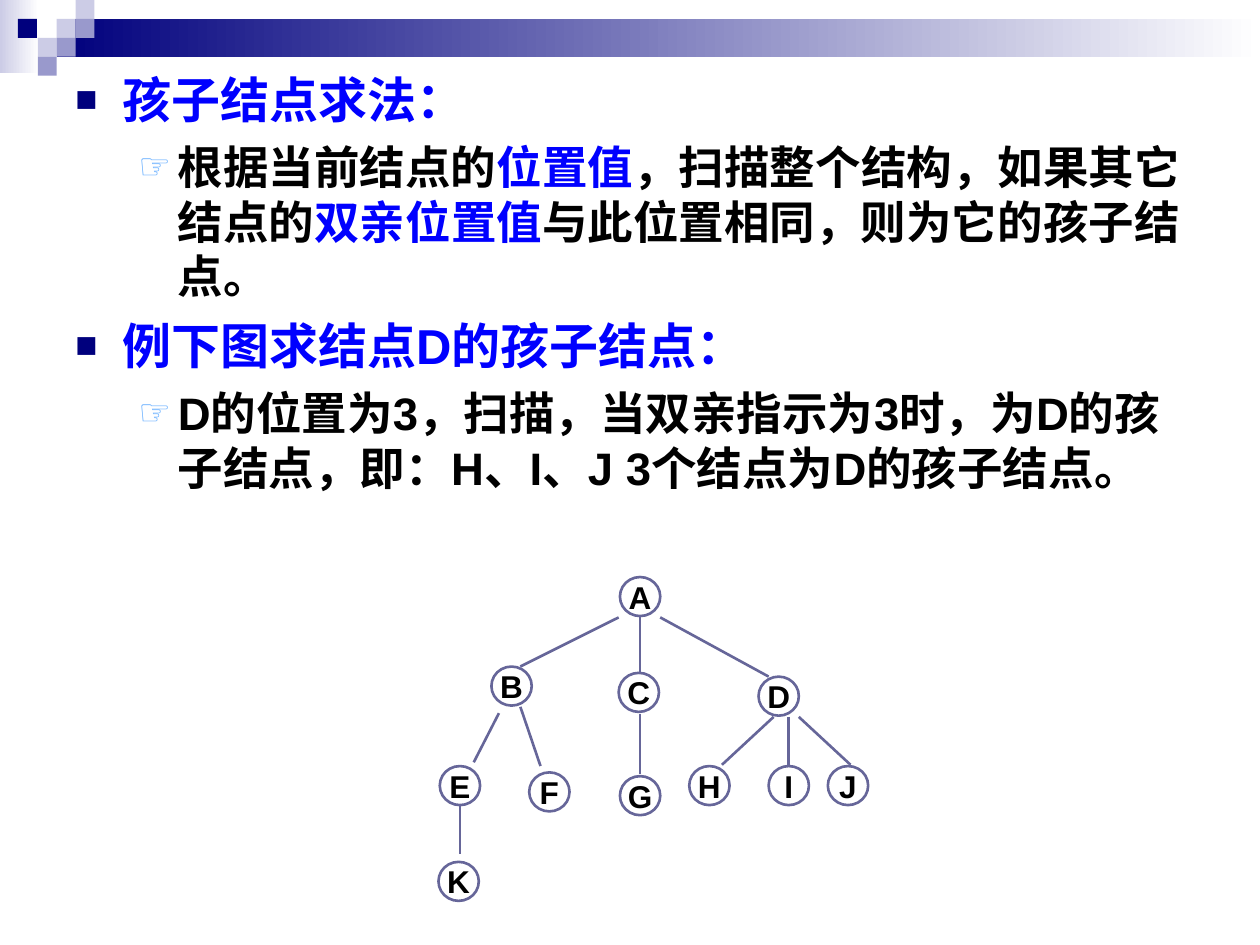
from lxml import etree
from pptx import Presentation
from pptx.dml.color import RGBColor
from pptx.enum.shapes import MSO_CONNECTOR, MSO_SHAPE
from pptx.enum.text import MSO_ANCHOR, PP_ALIGN
from pptx.oxml.ns import qn
from pptx.util import Inches, Pt

RECTANGLE, ELLIPSE = MSO_SHAPE.RECTANGLE, MSO_SHAPE.OVAL
STRAIGHT = MSO_CONNECTOR.STRAIGHT
MIDDLE, CENTER = MSO_ANCHOR.MIDDLE, PP_ALIGN.CENTER

NAVY = RGBColor(0x00, 0x00, 0x7D)
LAVENDER = RGBColor(0xCC, 0xCC, 0xE6)
PERIWINKLE = RGBColor(0x99, 0x99, 0xCC)
SLATE = RGBColor(0x66, 0x66, 0x99)
SKY = RGBColor(0x67, 0xAF, 0xFF)
BLUE = RGBColor(0x00, 0x00, 0xFF)
BLACK = RGBColor(0x00, 0x00, 0x00)
WHITE = RGBColor(0xFF, 0xFF, 0xFF)
FONT = "Arial"

presentation = Presentation()
presentation.slide_width, presentation.slide_height = Inches(10), Inches(7.5)
slide = presentation.slides.add_slide(presentation.slide_layouts[6])

# Grid of 100 columns by 75 rows
COLUMN = presentation.slide_width / 100
ROW = presentation.slide_height / 75


def add_block(kind, left, top, width, height):
    shape = slide.shapes.add_shape(kind, int(left * COLUMN), int(top * ROW),
                                   int(width * COLUMN), int(height * ROW))
    shape.shadow.inherit = False
    return shape


def format_run(run, size, color):
    run.font.name = FONT
    run.font.size = Pt(size)
    run.font.bold = True
    run.font.color.rgb = color


# Fading bands in the header
for box, color in (((0, 0, 3.1, 5.8), LAVENDER), ((4.5, 1.5, 95.5, 3), NAVY)):
    band = add_block(RECTANGLE, *box)
    band.line.fill.background()
    band.fill.gradient()
    band.fill.gradient_angle = 0
    start, end = band.fill.gradient_stops
    start.color.rgb, end.color.rgb = color, WHITE

# Header mosaic, in tile columns and tile rows
TILE = 1.5
mosaic = [(3, 1, LAVENDER), (4, 0, LAVENDER), (4, 1, PERIWINKLE),
          (2, 2, LAVENDER), (0.95, 1, NAVY), (3, 2, PERIWINKLE),
          (2, 3, PERIWINKLE)]
for tile_column, tile_row, color in mosaic:
    tile = add_block(RECTANGLE, tile_column * TILE, tile_row * TILE, TILE, TILE)
    tile.line.fill.background()
    tile.fill.solid()
    tile.fill.fore_color.rgb = color

# Bulleted text: level, then runs of text and colour
content = [
    (0, [("孩子结点求法：", BLUE)]),
    (1, [("根据当前结点的", BLACK), ("位置值", BLUE),
         ("，扫描整个结构，如果其它结点的", BLACK), ("双亲位置值", BLUE),
         ("与此位置相同，则为它的孩子结点。", BLACK)]),
    (0, [("例下图求结点D的孩子结点：", BLUE)]),
    (1, [("D的位置为3，扫描，当双亲指示为3时，为D的孩子结点，"
          "即：H、I、J 3个结点为D的孩子结点。", BLACK)]),
]
# Per level: text size, space before, left margin, hanging indent, bullet
levels = [(28, 7, 3.75, 3.75, "■", NAVY, 75),
          (26, 6.5, 8.13, 3.13, "☞", SKY, 80)]

body = slide.shapes.add_textbox(int(5 * COLUMN), int(5 * ROW),
                                int(90 * COLUMN), int(70 * ROW))
body_frame = body.text_frame
body_frame.word_wrap = True
for index, (level, runs) in enumerate(content):
    size, space, margin, hanging, bullet, bullet_color, bullet_size = levels[level]
    paragraph = body_frame.add_paragraph() if index else body_frame.paragraphs[0]
    paragraph.level = level
    paragraph.space_before = Pt(space if index else 0)
    properties = paragraph._p.get_or_add_pPr()
    properties.set("marL", str(int(margin * COLUMN)))
    properties.set("indent", str(-int(hanging * COLUMN)))
    color_element = etree.SubElement(properties, qn("a:buClr"))
    etree.SubElement(color_element, qn("a:srgbClr"), val=str(bullet_color))
    etree.SubElement(properties, qn("a:buSzPct"), val=str(bullet_size * 1000))
    etree.SubElement(properties, qn("a:buFont"), typeface=FONT)
    etree.SubElement(properties, qn("a:buChar"), char=bullet)
    for text, color in runs:
        run = paragraph.add_run()
        run.text = text
        format_run(run, size, color)

# Tree nodes: centre column and top row
NODE_WIDTH, NODE_HEIGHT = 3.2, 3.1
nodes = {"A": (50.8, 45.8), "B": (40.6, 52.9), "C": (50.7, 53.4),
         "G": (50.8, 61.6), "F": (43.6, 61.3), "E": (36.5, 60.8),
         "H": (56.3, 60.8), "I": (62.6, 60.8), "J": (67.3, 60.8),
         "K": (36.4, 68.4), "D": (61.8, 53.7)}

# Tree edges: offsets from the parent's bottom and from the child's top
edges = [("A", "B", (-1.7, 0.1), (0.7, 0)), ("A", "D", (1.6, 0.1), (-0.8, 0)),
         ("A", "C", (0, 0.1), (0.1, 1.1)), ("C", "G", (0.1, 0.2), (0, -0.2)),
         ("E", "K", (0, 0.1), (0.1, -0.6)), ("D", "I", (0.8, 0.1), (0, -0.1)),
         ("B", "F", (0.7, 0.1), (-0.7, -0.5)), ("B", "E", (-1, 0.6), (1.1, -0.3)),
         ("D", "J", (1.6, 0.1), (0.2, -0.1)), ("D", "H", (-0.4, 0.1), (1, -0.1))]
for parent, child, (start_x, start_y), (end_x, end_y) in edges:
    parent_x, parent_top = nodes[parent]
    child_x, child_top = nodes[child]
    edge = slide.shapes.add_connector(
        STRAIGHT,
        int((parent_x + start_x) * COLUMN),
        int((parent_top + NODE_HEIGHT + start_y) * ROW),
        int((child_x + end_x) * COLUMN), int((child_top + end_y) * ROW))
    edge.line.color.rgb = SLATE
    edge.line.width = Pt(1.5)
    etree.SubElement(edge._element.spPr, qn("a:effectLst"))

for label, (center, top) in nodes.items():
    node = add_block(ELLIPSE, center - NODE_WIDTH / 2, top, NODE_WIDTH, NODE_HEIGHT)
    node.fill.solid()
    node.fill.fore_color.rgb = WHITE
    node.line.color.rgb = SLATE
    node.line.width = Pt(1.5)
    node_frame = node.text_frame
    node_frame.text = label
    node_frame.word_wrap = False
    node_frame.vertical_anchor = MIDDLE
    node_frame.paragraphs[0].alignment = CENTER
    format_run(node_frame.paragraphs[0].runs[0], 18, BLACK)

presentation.save("out.pptx")
